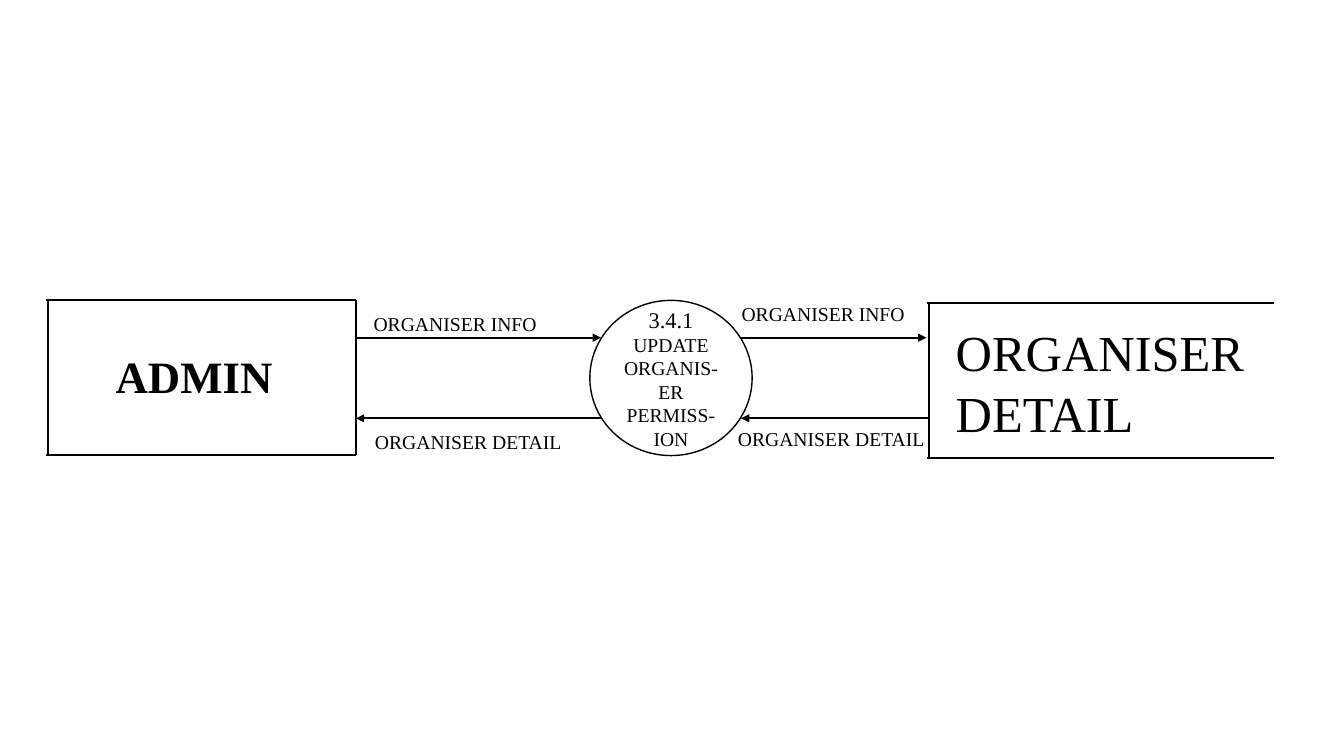
from lxml.etree import SubElement
from pptx import Presentation
from pptx.dml.color import RGBColor
from pptx.enum.shapes import MSO_CONNECTOR, MSO_SHAPE
from pptx.enum.text import MSO_ANCHOR, PP_ALIGN
from pptx.oxml.ns import qn
from pptx.util import Inches, Pt

COLORS = {"ink": "000000", "paper": "FFFFFF"}
FONT = "Times New Roman"
INFO_Y, DETAIL_Y = 3.35, 4.15


def color(name):
    return RGBColor.from_string(COLORS[name])


def format_paragraph(paragraph, size, align, bold=False):
    paragraph.alignment = align
    font = paragraph.font
    font.name, font.size, font.bold = FONT, Pt(size), bold
    font.color.rgb = color("ink")


def add_text(slide, box, lines, size, align=PP_ALIGN.CENTER, bold=False):
    frame = slide.shapes.add_textbox(*map(Inches, box)).text_frame
    frame.word_wrap = True
    frame.text = "\n".join(lines)
    for paragraph in frame.paragraphs:
        format_paragraph(paragraph, size, align, bold)


def add_line(slide, start, end, arrow=False):
    line = slide.shapes.add_connector(
        MSO_CONNECTOR.STRAIGHT, *map(Inches, (*start, *end)))
    line.line.color.rgb = color("ink")
    line.line.width = Pt(1.5)
    if arrow:
        SubElement(line.line._get_or_add_ln(), qn("a:tailEnd"), type="triangle")
    SubElement(line._element.spPr, qn("a:effectLst"))


def add_frame(slide, box, closed):
    """Draw a box from lines; a data store stays open on the right."""
    left, top, width, height = box
    right, bottom = left + width, top + height
    for y in (top, bottom):
        add_line(slide, (left, y), (right, y))
    for x in (left + 0.02, right) if closed else (left + 0.02,):
        add_line(slide, (x, top), (x, bottom))


def add_entity(slide, box):
    left, top, width, height = box
    add_frame(slide, box, closed=True)
    add_text(slide, (left - 0.05, top + 0.43, width - 0.04, 0.64),
             ["ADMIN"], 32, bold=True)


def add_data_store(slide, box):
    left, top, width, height = box
    add_frame(slide, box, closed=False)
    add_text(slide, (left + 0.19, top + 0.13, width - 0.01, 1.31),
             ["ORGANISER", "DETAIL"], 36, PP_ALIGN.LEFT)


def add_process(slide, box):
    process = slide.shapes.add_shape(MSO_SHAPE.OVAL, *map(Inches, box))
    process.shadow.inherit = False
    process.fill.solid()
    process.fill.fore_color.rgb = color("paper")
    process.line.color.rgb = color("ink")
    process.line.width = Pt(1)
    frame = process.text_frame
    frame.word_wrap = True
    frame.vertical_anchor = MSO_ANCHOR.MIDDLE
    frame.text = "3.4.1\nUPDATE\nORGANIS-ER PERMISS-ION"
    for paragraph, size in zip(frame.paragraphs, (16, 14, 14)):
        format_paragraph(paragraph, size, PP_ALIGN.CENTER)


def add_flow(slide, start, end, label, label_box):
    add_line(slide, start, end, arrow=True)
    add_text(slide, label_box, [label], 14)


def add_flow_diagram(slide):
    add_entity(slide, (0.46, 2.98, 3.07, 1.53))
    add_data_store(slide, (9.19, 3.01, 3.45, 1.53))
    add_process(slide, (5.85, 2.98, 1.61, 1.54))
    info, detail = "ORGANISER INFO", "ORGANISER DETAIL"
    flows = [
        ((3.53, INFO_Y), (5.96, INFO_Y), info, (3.35, 3.05, 2.33, 0.34)),
        ((5.96, DETAIL_Y), (3.53, DETAIL_Y), detail, (3.48, 4.22, 2.33, 0.34)),
        ((7.35, INFO_Y), (9.19, INFO_Y), info, (6.95, 2.95, 2.43, 0.34)),
        ((9.21, DETAIL_Y), (7.35, DETAIL_Y), detail, (7.08, 4.19, 2.33, 0.34)),
    ]
    for flow in flows:
        add_flow(slide, *flow)


def main():
    deck = Presentation()
    deck.slide_width, deck.slide_height = Inches(13.33), Inches(7.5)
    add_flow_diagram(deck.slides.add_slide(deck.slide_layouts[6]))
    deck.save("out.pptx")


if __name__ == "__main__":
    main()
